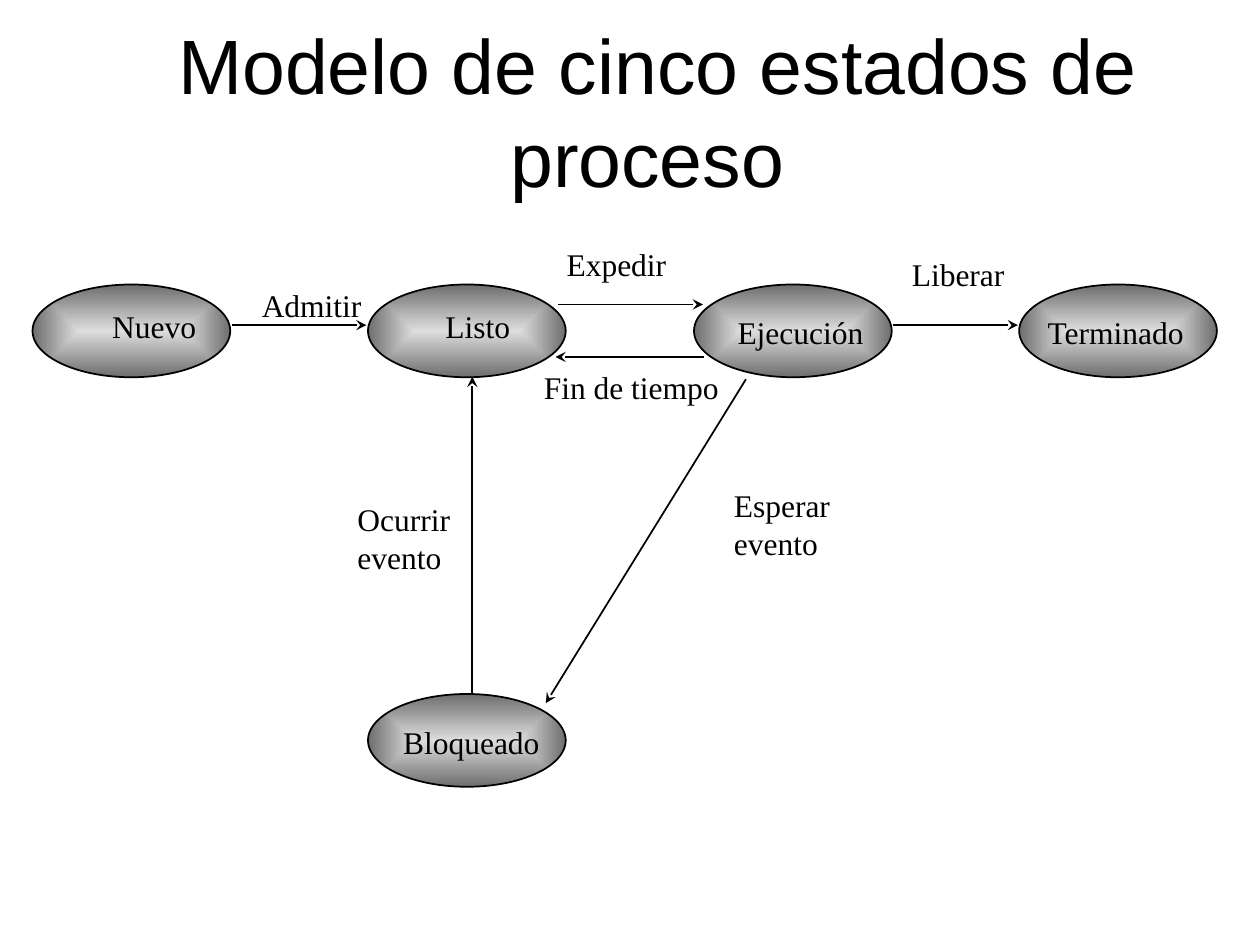
from lxml import etree
from pptx import Presentation
from pptx.dml.color import RGBColor
from pptx.enum import shapes, text
from pptx.oxml import ns
from pptx.util import Pt

BLACK = "000000"
STATE_W, STATE_H = 113, 53

STATES = [
    ("Nuevo", 0, 26.6, 38.4, 9.2, 64),
    ("Listo", 191.7, 26.6, 37.2, 9.2, 53),
    ("Ejecución", 378, 26.6, 17.8, 12.6, 88),
    ("Terminado", 563.8, 26.6, 9.2, 12.6, 95),
    ("Bloqueado", 191.7, 260.6, 13, 13, 94),
]
ARROWS = [
    (113.8, 49.8, 190.8, 49.8),
    (251.3, 260.7, 251.3, 79.3),
    (491.8, 49.8, 563.1, 49.8),
    (300.3, 38, 383.1, 38),
    (383.8, 68, 298.8, 68),
    (407.7, 80.7, 293.3, 265.8),
]
TRANSITIONS = [
    ("Admitir", 123.9, 24.2, 73),
    ("Ocurrir\nevento", 178.6, 146.2, 69),
    ("Expedir", 298.1, 0.3, 73),
    ("Liberar", 495.4, 6.3, 69),
    ("Fin de tiempo", 285.1, 71, 116),
    ("Esperar\nevento", 393.7, 138.3, 71),
]


def color(value):
    return RGBColor.from_string(value)


def add_child(parent, tag, **attrs):
    return etree.SubElement(parent, ns.qn(tag), attrs)


def style_text(p, font, size):
    p.font.name = font
    p.font.size = Pt(size)
    p.font.color.rgb = color(BLACK)


def add_title(s, left, top, width, height):
    sp = s.shapes.add_textbox(Pt(left), Pt(top), Pt(width), Pt(height))
    tf = sp.text_frame
    tf.word_wrap = True
    tf.vertical_anchor = text.MSO_ANCHOR.MIDDLE
    p = tf.paragraphs[0]
    p.text = "Modelo de cinco estados de proceso "
    p.alignment = text.PP_ALIGN.CENTER
    style_text(p, "Arial", 44)


def add_label(s, caption, left, top, width):
    height = 28.8 + 21.6 * caption.count("\n")
    sp = s.shapes.add_textbox(Pt(left), Pt(top), Pt(width), Pt(height))
    tf = sp.text_frame
    tf.text = caption
    tf.word_wrap = False
    for p in tf.paragraphs:
        p.alignment = text.PP_ALIGN.LEFT
        style_text(p, "Times New Roman", 18)


def add_state(s, left, top):
    sp = s.shapes.add_shape(shapes.MSO_SHAPE.OVAL, Pt(left), Pt(top), Pt(STATE_W), Pt(STATE_H))
    sp.shadow.inherit = False
    sp.line.color.rgb = color(BLACK)
    sp.line.width = Pt(1)
    sp.fill.gradient()
    for stop, position, shade in zip(sp.fill.gradient_stops, (0, 1), ("DDDDDD", "6E6E6E")):
        stop.position = position
        stop.color.rgb = color(shade)
    grad = sp.element.spPr.find(ns.qn("a:gradFill"))
    grad.remove(grad.find(ns.qn("a:lin")))
    rect = add_child(grad, "a:path", path="rect")
    add_child(rect, "a:fillToRect", l="50000", t="50000", r="50000", b="50000")


def add_arrow(s, x1, y1, x2, y2):
    arrow = s.shapes.add_connector(shapes.MSO_CONNECTOR.STRAIGHT, Pt(x1), Pt(y1), Pt(x2), Pt(y2))
    arrow.line.color.rgb = color(BLACK)
    arrow.line.width = Pt(1)
    props = arrow.element.spPr
    add_child(props.find(ns.qn("a:ln")), "a:tailEnd", type="stealth")
    add_child(props, "a:effectLst")


def add_diagram(s, left, top):
    for _, x, y, *_ in STATES:
        add_state(s, left + x, top + y)
    for caption, x, y, dx, dy, width in STATES:
        add_label(s, caption, left + x + dx, top + y + dy, width)
    for x1, y1, x2, y2 in ARROWS:
        add_arrow(s, left + x1, top + y1, left + x2, top + y2)
    for caption, x, y, width in TRANSITIONS:
        add_label(s, caption, left + x, top + y, width)


def main():
    prs = Presentation()
    prs.slide_width, prs.slide_height = Pt(720), Pt(540)
    s = prs.slides.add_slide(prs.slide_layouts[6])
    add_title(s, 32, 18, 688, 90)
    add_diagram(s, 18.6, 136)
    prs.save("out.pptx")


if __name__ == "__main__":
    main()
